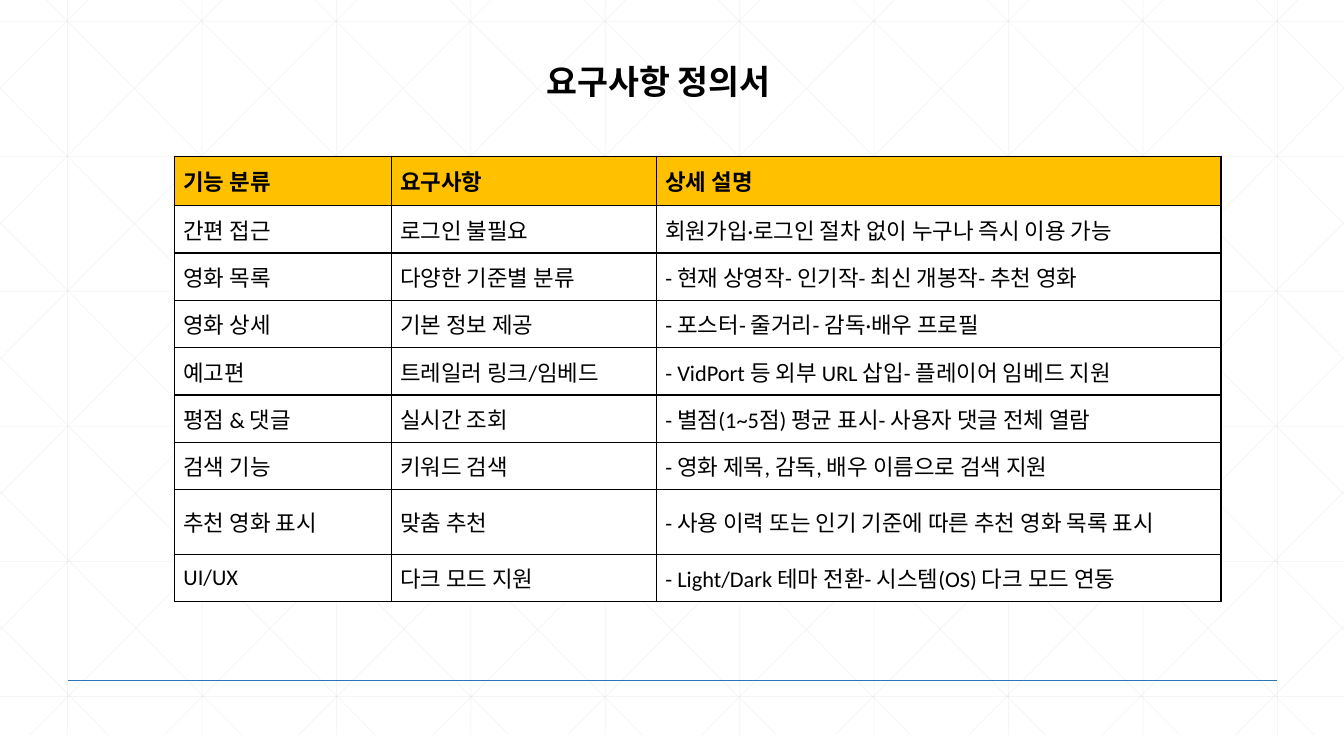
from lxml import etree
from pptx import Presentation
from pptx.dml.color import RGBColor
from pptx.enum.shapes import MSO_CONNECTOR
from pptx.enum.text import MSO_ANCHOR
from pptx.oxml.ns import qn
from pptx.util import Pt

LINE = MSO_CONNECTOR.STRAIGHT
MIDDLE = MSO_ANCHOR.MIDDLE
PX = 9144
WIDE, HIGH = 1333, 750
TOP, LOW = -21, 729
FONT = "Calibri"
INK = {"black": "000000", "white": "FFFFFF", "gold": "FFC000",
       "blue": "2E75B6", "grid": "D9D9D9"}
COLS = [215, 263, 560]
ROWS = [49] + [47] * 6 + [64, 47]
NEEDS = [
    ("기능 분류", "요구사항", "상세 설명"),
    ("간편 접근", "로그인 불필요", "회원가입·로그인 절차 없이 누구나 즉시 이용 가능"),
    ("영화 목록", "다양한 기준별 분류", "- 현재 상영작- 인기작- 최신 개봉작- 추천 영화"),
    ("영화 상세", "기본 정보 제공", "- 포스터- 줄거리- 감독·배우 프로필"),
    ("예고편", "트레일러 링크/임베드", "- VidPort 등 외부 URL 삽입- 플레이어 임베드 지원"),
    ("평점 & 댓글", "실시간 조회", "- 별점(1~5점) 평균 표시- 사용자 댓글 전체 열람"),
    ("검색 기능", "키워드 검색", "- 영화 제목, 감독, 배우 이름으로 검색 지원"),
    ("추천 영화 표시", "맞춤 추천", "- 사용 이력 또는 인기 기준에 따른 추천 영화 목록 표시"),
    ("UI/UX", "다크 모드 지원", "- Light/Dark 테마 전환- 시스템(OS) 다크 모드 연동"),
]


def px(size):
    """Turn px into EMU."""
    return round(size * PX)


def rgb(name):
    """Look up a colour by name."""
    return RGBColor.from_string(INK[name])


def write(frame, text, size=16, bold=False, color="black", space=None):
    """Put one formatted paragraph into a text frame."""
    para = frame.paragraphs[0]
    para.line_spacing = space
    run = para.add_run()
    run.text = text
    run.font.name = FONT
    run.font.size = Pt(size)
    run.font.bold = bold
    run.font.color.rgb = rgb(color)


def rule(slide, start, end, color="grid", width=0.5, alpha=25):
    """Draw a straight line with the given opacity in percent."""
    line = slide.shapes.add_connector(LINE, *map(px, (*start, *end)))
    line.line.color.rgb = rgb(color)
    line.line.width = Pt(width)
    props = line._element.spPr
    tint = props.find(".//" + qn("a:srgbClr"))
    etree.SubElement(tint, qn("a:alpha"), val=str(alpha * 1000))
    etree.SubElement(props, qn("a:effectLst"))


def slant(slide, left, start, step):
    """Draw a diagonal and its mirror, both cut at the slide edge."""
    run = min(745, WIDE - left)
    end = start + step * run * 750 / 745
    rule(slide, (left, start), (left + run, end))
    rule(slide, (WIDE - left, start), (WIDE - left - run, end))


def grid(slide):
    """Draw the pale background grid."""
    for i in range(10):
        left = 67 + i * 400 / 3
        rule(slide, (left, TOP), (left, LOW))
    for i in range(6):
        level = 21 + 134 * i
        rule(slide, (0, level), (WIDE, level))
    for i in range(10):
        slant(slide, 25 + i * 400 / 3, TOP, 1)
    for i in range(5):
        slant(slide, 696 + 132.4 * i, LOW, -1)


def title(slide, text):
    """Add the slide heading."""
    box = slide.shapes.add_textbox(px(532), px(10), px(362), px(145))
    box.text_frame.word_wrap = True
    box.text_frame.vertical_anchor = MIDDLE
    write(box.text_frame, text, size=24, bold=True, space=0.9)


def edge(cell):
    """Give a cell thin black borders."""
    props = cell._tc.get_or_add_tcPr()
    for i, side in enumerate(("lnL", "lnR", "lnT", "lnB")):
        line = etree.Element(qn("a:" + side), w=str(Pt(1)))
        fill = etree.SubElement(line, qn("a:solidFill"))
        etree.SubElement(fill, qn("a:srgbClr"), val=INK["black"])
        props.insert(i, line)


def table(slide):
    """Add the table of requirements."""
    frame = slide.shapes.add_table(len(ROWS), len(COLS), px(173), px(155),
                                   px(sum(COLS)), px(sum(ROWS)))
    needs = frame.table
    needs.horz_banding = False
    for col, width in zip(needs.columns, COLS):
        col.width = px(width)
    for i, (row, height) in enumerate(zip(needs.rows, ROWS)):
        row.height = px(height)
        for cell, text in zip(row.cells, NEEDS[i]):
            cell.vertical_anchor = MIDDLE
            cell.margin_left = cell.margin_right = px(9)
            cell.margin_top = cell.margin_bottom = px(5)
            cell.fill.solid()
            cell.fill.fore_color.rgb = rgb("white" if i else "gold")
            edge(cell)
            write(cell.text_frame, text, bold=i == 0)


def main():
    """Build and save the slide."""
    deck = Presentation()
    deck.slide_width, deck.slide_height = px(WIDE), px(HIGH)
    slide = deck.slides.add_slide(deck.slide_layouts[6])
    grid(slide)
    rule(slide, (67, 675), (1267, 675), color="blue", width=1, alpha=100)
    title(slide, "요구사항 정의서")
    table(slide)
    deck.save("out.pptx")


if __name__ == "__main__":
    main()
